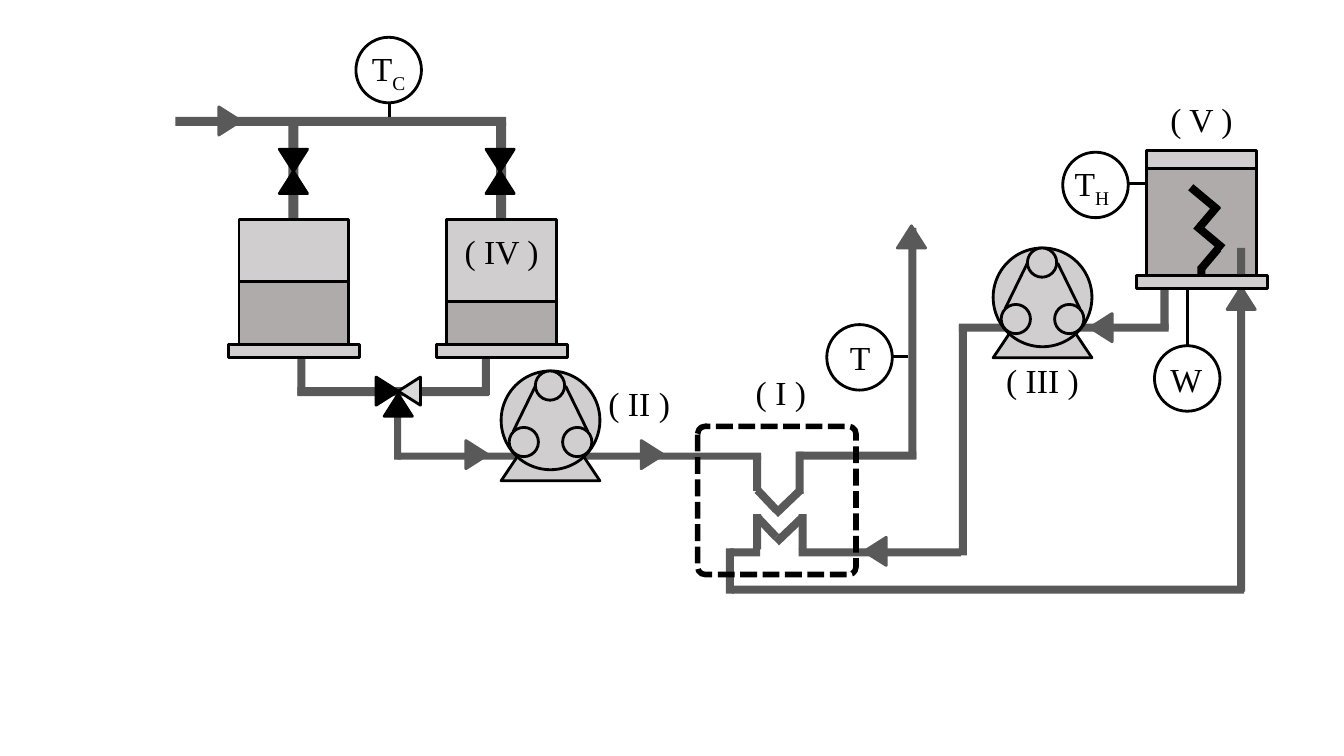
from typing import Any, NamedTuple

from lxml import etree
from pptx import Presentation
from pptx import util as u
from pptx.dml.color import RGBColor
from pptx.enum import dml, shapes, text
from pptx.oxml.ns import qn

PX = 9144  # EMU per px, 100 px to the inch
GREY, BLACK, LIGHT, DARK, PALE = "595959", "000000", "D0CECE", "AFABAB", "D9D9D9"
FONT = {"name": "Times New Roman", "size": u.Pt(24)}
KIND = shapes.MSO_SHAPE
RECT, OVAL, TRI = KIND.RECTANGLE, KIND.OVAL, KIND.ISOSCELES_TRIANGLE


class Box(NamedTuple):
    x: int
    y: int
    w: int
    h: int


class Slant(NamedTuple):
    x: int
    y: int
    w: int
    turn: float
    fill: str = GREY


class Head(NamedTuple):
    x: int
    y: int
    turn: int = 0
    fill: str = GREY
    edge: str = GREY


class Tank(NamedTuple):
    x: int
    y: int
    top: int  # empty height above the liquid


class Pump(NamedTuple):
    x: int
    y: int


class Gauge(NamedTuple):
    x: int
    y: int
    lead: tuple[int, int, int, int]


class Label(NamedTuple):
    box: Box
    main: str
    sub: str = ""
    mid: bool = False


PIPES = [
    # cold feed into the two tanks
    Box(174, 116, 328, 9), Box(286, 122, 10, 96), Box(492, 122, 10, 96),
    # tank outlets to pump II and the cell
    Box(295, 384, 190, 9), Box(295, 355, 8, 37), Box(478, 355, 8, 37),
    Box(391, 413, 7, 43), Box(394, 449, 361, 7),
    # upper channel of the cell and its outlet
    Box(747, 452, 8, 35), Box(789, 448, 8, 42), Box(791, 448, 118, 8),
    Box(901, 226, 8, 229),
    # heater through pump III to the lower channel
    Box(1151, 285, 8, 42), Box(951, 321, 208, 8), Box(951, 322, 8, 229),
    Box(792, 544, 161, 8), Box(792, 510, 8, 35), Box(747, 510, 8, 35),
    # return to the heater
    Box(724, 544, 30, 8), Box(720, 544, 8, 45), Box(726, 581, 508, 8),
    Box(1227, 288, 8, 299),
]
INLET = Box(1227, 246, 8, 26)
BENDS = [
    Slant(747, 492, 27, 46.6), Slant(764, 494, 35, 136.3),
    Slant(747, 519, 27, 46.6), Slant(765, 522, 35, 136.3),
]
COIL = [
    Slant(1186, 253, 27, 310.2, BLACK), Slant(1182, 231, 35, 39.9, BLACK),
    Slant(1187, 265, 9, 90, BLACK), Slant(1186, 210, 27, 310.2, BLACK),
    Slant(1177, 193, 35, 39.9, BLACK),
]
ARROWS = [
    Head(214, 109, 90), Head(459, 440, 90), Head(633, 440, 90), Head(890, 224),
    Head(854, 536, 270), Head(1078, 314, 270), Head(1217, 285),
]
VALVES = [
    Head(x, y, turn, BLACK, BLACK)
    for x in (277, 482) for y, turn in ((148, 180), (170, 0))
] + [
    Head(370, 377, 90, BLACK, BLACK), Head(392, 377, 270, PALE, BLACK),
    Head(381, 391, 0, BLACK, BLACK),
]
TANKS = [Tank(237, 218, 61), Tank(443, 218, 81), Tank(1137, 149, 18)]
PUMPS = [Pump(497, 368), Pump(985, 246)]
CELL = Box(692, 423, 157, 147)
GAUGES = [
    Gauge(353, 37, (386, 102, 386, 116)), Gauge(1054, 151, (1118, 182, 1137, 182)),
    Gauge(820, 322, (901, 354, 885, 354)), Gauge(1145, 343, (1178, 342, 1178, 287)),
]
LABELS = [
    Label(Box(359, 43, 61, 50), "T", "C"), Label(Box(1056, 157, 61, 50), "T", "H"),
    Label(Box(833, 329, 61, 50), "T"), Label(Box(1151, 351, 56, 50), "W"),
    Label(Box(734, 364, 81, 50), "( I )", mid=True),
    Label(Box(591, 375, 86, 50), "( II )", mid=True),
    Label(Box(985, 352, 98, 50), "( III )", mid=True),
    Label(Box(443, 224, 109, 50), "( IV )", mid=True),
    Label(Box(1137, 93, 109, 50), "( V )", mid=True),
]


def assign(item: Any, vals: dict[str, Any]) -> None:
    for key, val in vals.items():
        setattr(item, key, val)


def emu(nums: tuple[int, ...]) -> list[int]:
    return [n * PX for n in nums]


def tint(fmt: Any, code: str) -> None:
    """Colour a fill; an empty code clears it."""
    if code:
        fmt.solid()
        fmt.fore_color.rgb = RGBColor.from_string(code)
    else:
        fmt.background()


def form(into: Any, kind: Any, box: Box, fill: str = "", edge: str = "",
         turn: float = 0, thick: float = 2) -> Any:
    item = into.add_shape(kind, *emu(box))
    item.shadow.inherit = False
    assign(item, {"rotation": turn})
    tint(item.fill, fill)
    tint(item.line.fill, edge)
    if edge:
        item.line.width = u.Pt(thick)
    return item


def wire(into: Any, ends: tuple[int, int, int, int]) -> None:
    item = into.add_connector(shapes.MSO_CONNECTOR.STRAIGHT, *emu(ends))
    tint(item.line.fill, BLACK)
    item.line.width = u.Pt(2)
    etree.SubElement(item._element.spPr, qn("a:effectLst"))


def slant(into: Any, part: Slant) -> None:
    form(into, RECT, Box(part.x, part.y, part.w, 8), part.fill, turn=part.turn)


def head(into: Any, part: Head) -> None:
    form(into, TRI, Box(part.x, part.y, 28, 22), part.fill, part.edge, part.turn)


def tank(into: Any, part: Tank) -> None:
    group, (x, y, top) = into.add_group_shape().shapes, part
    form(group, RECT, Box(x, y, 109, 124), LIGHT, BLACK)
    form(group, RECT, Box(x, y + top, 109, 124 - top), DARK, BLACK)
    form(group, RECT, Box(x - 10, y + 124, 130, 13), LIGHT, BLACK)


def pump(into: Any, part: Pump) -> None:
    group, (x, y) = into.add_group_shape().shapes, part
    form(group, TRI, Box(x, y + 36, 98, 73), LIGHT, BLACK)
    form(group, OVAL, Box(x, y, 98, 98), LIGHT, BLACK)
    for dx, dy in ((8, 56), (61, 56), (34, 0)):
        form(group, OVAL, Box(x + dx, y + dy, 29, 29), LIGHT, BLACK)
    for start, end in ((34, 12), (64, 86)):
        wire(group, (x + start, y + 15, x + end, y + 60))


def gauge(into: Any, part: Gauge) -> None:
    form(into, OVAL, Box(part.x, part.y, 65, 65), "", BLACK)
    wire(into, part.lead)


def label(into: Any, part: Label) -> None:
    frame = into.add_textbox(*emu(part.box)).text_frame
    assign(frame, {"word_wrap": True, "auto_size": text.MSO_AUTO_SIZE.SHAPE_TO_FIT_TEXT})
    para = frame.paragraphs[0]
    para.alignment = text.PP_ALIGN.CENTER if part.mid else text.PP_ALIGN.LEFT
    for words, base in ((part.main, 0), (part.sub, -25000)):
        if words:
            run = para.add_run()
            run.text = words
            assign(run.font, FONT)
            tint(run.font.fill, BLACK)
            if base:
                run._r.get_or_add_rPr().set("baseline", str(base))


def main() -> None:
    deck = Presentation()
    assign(deck, {"slide_width": 1333 * PX, "slide_height": 750 * PX})
    into = deck.slides.add_slide(deck.slide_layouts[6]).shapes
    for box in PIPES:
        form(into, RECT, box, GREY)
    for draw, parts in ((slant, BENDS), (head, ARROWS + VALVES), (tank, TANKS),
                        (pump, PUMPS), (slant, COIL), (gauge, GAUGES), (label, LABELS)):
        for part in parts:
            draw(into, part)
    form(into, RECT, INLET, GREY)
    cell = form(into, KIND.ROUNDED_RECTANGLE, CELL, "", BLACK, thick=4)
    cell.adjustments[0] = 0.05
    cell.line.dash_style = dml.MSO_LINE.SQUARE_DOT
    deck.save("out.pptx")


if __name__ == "__main__":
    main()
